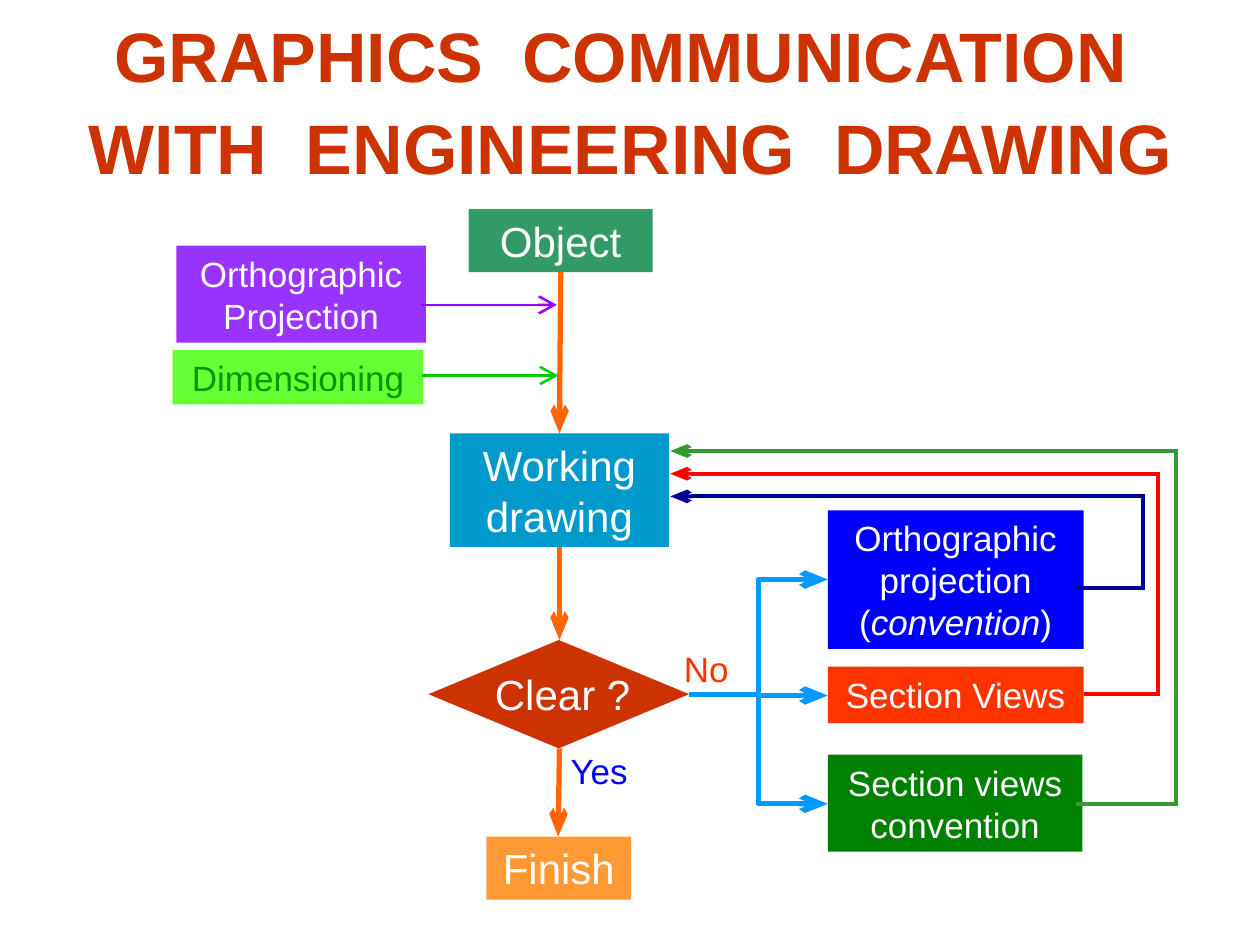
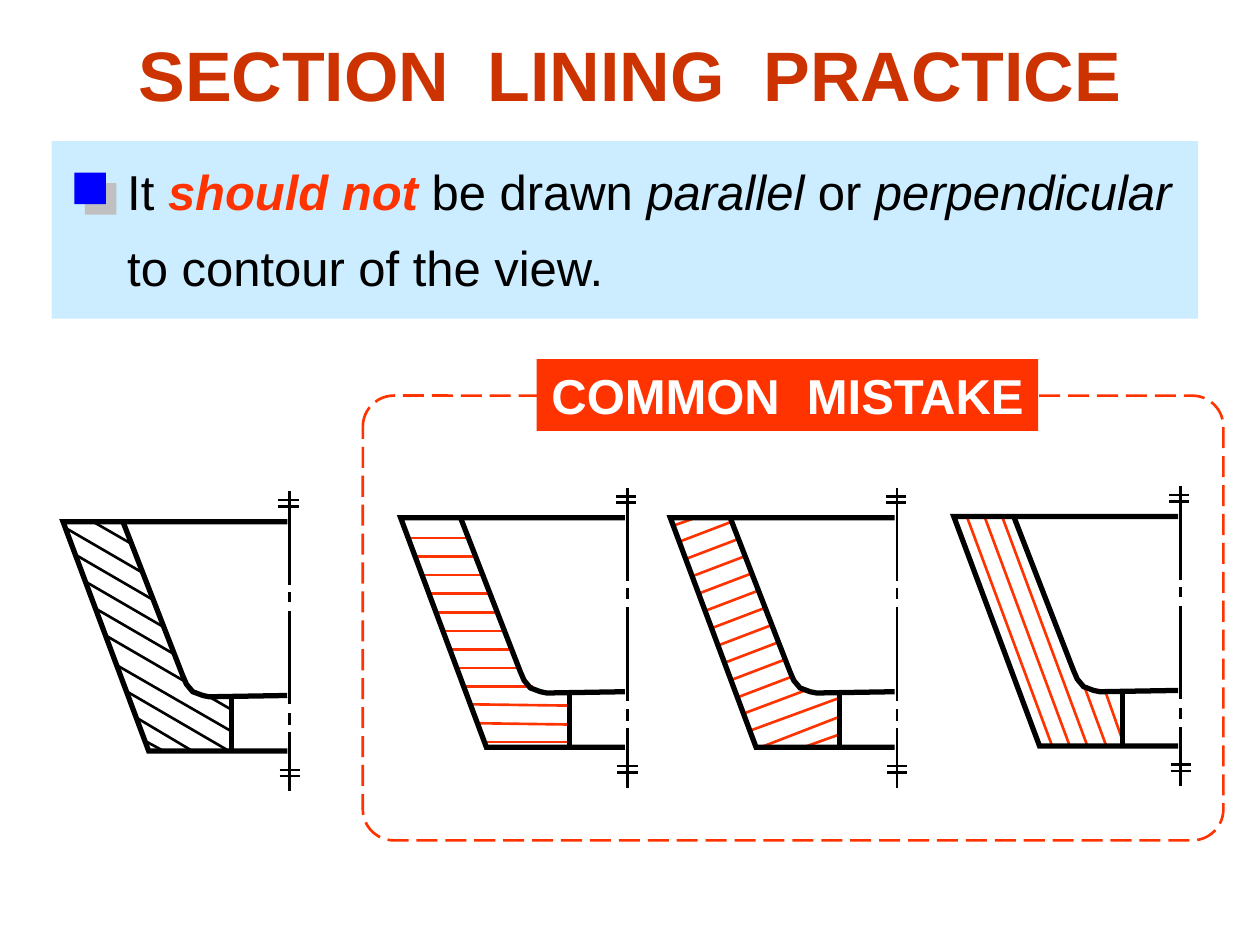
"""Builds two slides on engineering drawing: a communication flowchart and section lining practice."""
from lxml.etree import SubElement
from pptx import Presentation
from pptx.dml.color import RGBColor
from pptx.enum.dml import MSO_LINE
from pptx.enum.shapes import MSO_CONNECTOR, MSO_SHAPE
from pptx.enum.text import MSO_ANCHOR, MSO_AUTO_SIZE, PP_ALIGN
from pptx.oxml.ns import qn
from pptx.util import Emu, Pt

PX = 9144
FONT = "Arial"
COLORS = {
    "title": "CC3300", "white": "FFFFFF", "black": "000000", "red": "FF3300",
    "object": "339966", "working": "0099CC", "finish": "FF9933", "flow": "FF6600",
    "projection": "9933FF", "projection_arrow": "9900FF",
    "dimension": "66FF33", "dimension_text": "009900", "dimension_arrow": "00CC00",
    "blue": "0000FF", "branch": "0099FF", "section_convention": "008000",
    "projection_return": "000099", "section_return": "FF0000",
    "convention_return": "339933", "panel": "CCECFF", "shadow": "C0C0C0",
}
OUTER_WALL = [(178, 0), (0, 0), (68, 182), (178, 182)]
INNER_WALL = [(48, 1), (95, 122), (98, 129), (103, 135), (111, 138), (116, 139), (178, 138)]
AXIS_X = 180
AXIS_DASHES = [(-24, 50), (56, 64), (71, 145), (152, 161), (167, 214)]
SYMMETRY_MARKS = [(171, -17), (171, -12), (172, 197), (172, 202)]


def px(length):
    return Emu(round(length * PX))


def rgb(name):
    return RGBColor.from_string(COLORS[name])


def write(frame, paragraphs, size, color, align=PP_ALIGN.CENTER, spacing=None, bold=False):
    for index, runs in enumerate(paragraphs):
        paragraph = frame.add_paragraph() if index else frame.paragraphs[0]
        paragraph.alignment = align
        if spacing:
            paragraph.line_spacing = spacing
        for text, style in [(runs, {})] if isinstance(runs, str) else runs:
            for number, part in enumerate(text.split("\n")):
                if number:
                    paragraph.add_line_break()
                run = paragraph.add_run()
                run.text = part
                run.font.name = FONT
                run.font.size = Pt(size)
                run.font.bold = style.get("bold", bold)
                run.font.italic = style.get("italic", False)
                run.font.color.rgb = rgb(style.get("color", color))


def place(shape, area):
    shape.left, shape.top, shape.width, shape.height = map(px, area)


def add_title(slide, area, text, spacing=1.0):
    title = slide.shapes.title
    place(title, area)
    title.text_frame.auto_size = MSO_AUTO_SIZE.NONE
    title.text_frame.vertical_anchor = MSO_ANCHOR.MIDDLE
    write(title.text_frame, [text], 40, "title", spacing=spacing, bold=True)


def add_body(slide, area, runs):
    body = slide.placeholders[1]
    place(body, area)
    frame = body.text_frame
    frame.auto_size = MSO_AUTO_SIZE.NONE
    frame.vertical_anchor = MSO_ANCHOR.TOP
    properties = frame.paragraphs[0]._p.get_or_add_pPr()
    properties.set("marL", "0")
    properties.set("indent", "0")
    SubElement(properties, qn("a:buNone"))
    frame.paragraphs[0].space_before = Pt(0)
    write(frame, [runs], 28, "black", PP_ALIGN.LEFT, 1.3)


def add_block(slide, area, fill, paragraphs=(), size=20, color="white",
              kind=MSO_SHAPE.RECTANGLE, bold=False, wrap=True):
    block = slide.shapes.add_shape(kind, *map(px, area))
    block.shadow.inherit = False
    block.fill.solid()
    block.fill.fore_color.rgb = rgb(fill)
    block.line.fill.background()
    block.text_frame.word_wrap = wrap
    write(block.text_frame, paragraphs, size, color, bold=bold)
    return block


def add_label(slide, area, text, size, color, align=PP_ALIGN.LEFT):
    label = slide.shapes.add_textbox(*map(px, area))
    label.text_frame.word_wrap = False
    write(label.text_frame, [text], size, color, align)


def style_line(shape, color, width, head_width=None, miter=False):
    shape.line.color.rgb = rgb(color)
    shape.line.width = Pt(width)
    stroke = shape.line._get_or_add_ln()
    if miter:
        SubElement(stroke, qn("a:miter"), lim="800000")
    if head_width:
        SubElement(stroke, qn("a:tailEnd"), type="arrow", w=head_width, len="lg")


def add_line(slide, start, end, color, width, head_width=None, kind=MSO_CONNECTOR.STRAIGHT):
    line = slide.shapes.add_connector(kind, *map(px, (*start, *end)))
    style_line(line, color, width, head_width)
    SubElement(line._element.spPr, qn("a:effectLst"))


def add_polyline(slide, points, color, width, head_width=None):
    start, *rest = [(px(x), px(y)) for x, y in points]
    builder = slide.shapes.build_freeform(*start)
    builder.add_line_segments(rest, close=False)
    polyline = builder.convert_to_shape()
    polyline.shadow.inherit = False
    polyline.fill.background()
    style_line(polyline, color, width, head_width, miter=True)


def add_bullet_square(slide, area):
    square = add_block(slide, area, "blue")
    effects = square._element.spPr.find(qn("a:effectLst"))
    shadow = SubElement(effects, qn("a:outerShdw"), blurRad="0", dist=str(Pt(8.5)),
                        dir="2700000", algn="ctr", rotWithShape="0")
    SubElement(shadow, qn("a:srgbClr"), val=COLORS["shadow"])


def hatch_run(start, end, step, count):
    (x1, y1), (x2, y2), (dx, dy) = start, end, step
    return [((x1 + i * dx, y1 + i * dy), (x2 + i * dx, y2 + i * dy)) for i in range(count)]


def add_half_section(slide, origin, hatches, hatch_color):
    def shift(point):
        return origin[0] + point[0], origin[1] + point[1]

    def draw(start, end, color="black", width=1.5):
        add_line(slide, shift(start), shift(end), color, width)

    for start, end in hatches:
        draw(start, end, hatch_color)
    for wall in (OUTER_WALL, INNER_WALL):
        add_polyline(slide, [shift(point) for point in wall], "black", 3)
    draw((134, 139), (134, 181), width=3)
    for top, bottom in AXIS_DASHES:
        draw((AXIS_X, top), (AXIS_X, bottom))
    for left, height in SYMMETRY_MARKS:
        draw((left, height), (left + 16, height))


def build_flowchart(slide):
    add_title(slide, (38, 0, 925, 153),
              "GRAPHICS  COMMUNICATION \nWITH  ENGINEERING  DRAWING", 1.1)
    add_block(slide, (372, 166, 146, 50), "object", ["Object"], 24)
    add_block(slide, (357, 344, 174, 90), "working", ["Working\ndrawing"], 24)
    add_block(slide, (340, 508, 207, 86), "title", kind=MSO_SHAPE.DIAMOND)
    add_label(slide, (346, 526, 201, 50), "Clear ?", 24, "white", PP_ALIGN.CENTER)
    add_block(slide, (386, 664, 115, 50), "finish", ["Finish"], 24)
    add_label(slide, (443, 590, 68, 43), "Yes", 20, "blue")
    add_label(slide, (533, 509, 56, 43), "No", 20, "red")

    add_block(slide, (140, 195, 198, 77), "projection", ["Orthographic Projection"])
    add_block(slide, (137, 278, 199, 43), "dimension", ["Dimensioning"], color="dimension_text")
    add_line(slide, (334, 242), (442, 242), "projection_arrow", 1.5, "lg")
    add_line(slide, (335, 298), (443, 298), "dimension_arrow", 1.5, "lg")

    add_block(slide, (657, 405, 203, 110), "blue",
              ["Orthographic", "projection",
               [("(", {}), ("convention", {"italic": True}), (")", {})]])
    add_block(slide, (657, 529, 203, 45), "red", ["Section Views"])
    add_block(slide, (657, 599, 202, 77), "section_convention", ["Section views", "convention"])

    for start, end in [((445, 216), (444, 344)), ((444, 434), (444, 508)), ((444, 594), (443, 664))]:
        add_line(slide, start, end, "flow", 3, "med")
    for branch_y in (460, 552, 638):
        add_line(slide, (547, 551), (657, branch_y), "branch", 3, "med", MSO_CONNECTOR.ELBOW)
    for start, right, top, color in [
        ((854, 467), 907, 394, "projection_return"),
        ((860, 551), 919, 376, "section_return"),
        ((854, 638), 933, 358, "convention_return"),
    ]:
        route = [start, (right, start[1]), (right, top), (532, top)]
        add_polyline(slide, route, color, 2.25, "med")


def build_section_lining(slide):
    add_title(slide, (50, 1, 900, 114), "SECTION  LINING  PRACTICE")
    panel = add_block(slide, (41, 112, 910, 141), "panel")
    slide.shapes._spTree.insert(2, panel._element)
    add_bullet_square(slide, (59, 137, 25, 25))
    italic = {"italic": True}
    add_body(slide, (91, 109, 852, 132), [
        ("It ", {}), ("should not", {"color": "red", "bold": True, "italic": True}),
        (" be drawn ", {}), ("parallel ", italic), ("or ", {}),
        ("perpendicular", italic), (" to contour of the view.", {})])

    mistakes = slide.shapes.add_shape(MSO_SHAPE.ROUNDED_RECTANGLE, *map(px, (288, 314, 683, 353)))
    mistakes.adjustments[0] = 0.07
    mistakes.shadow.inherit = False
    mistakes.fill.background()
    style_line(mistakes, "red", 1.5)
    mistakes.line.dash_style = MSO_LINE.LONG_DASH
    add_block(slide, (426, 285, 398, 57), "red", ["COMMON  MISTAKE"], 28, bold=True, wrap=False)

    slanted = hatch_run((2, 5), (64, 41), (8.25, 21.5), 5) + [
        ((22, -1), (55, 18)), ((41, 113), (133, 166)), ((116, 139), (135, 150)),
        ((51, 135), (130, 181)), ((59, 156), (101, 181)), ((65, 174), (78, 181))]
    horizontal = hatch_run((6, 16), (55, 16), (5.6, 14.75), 8) + [
        ((50, 134), (105, 134)), ((55, 148), (134, 149)),
        ((60, 163), (133, 164)), ((67, 178), (133, 178))]
    perpendicular = hatch_run((7, 19), (49, 3), (5.2, 13.7), 10) + [
        ((3, 6), (20, 0)), ((59, 155), (107, 137)), ((63, 169), (134, 143)),
        ((72, 182), (134, 158)), ((106, 182), (134, 172))]
    parallel = hatch_run((10, -1), (78, 182), (14, 0), 3) + [
        ((104, 136), (121, 182)), ((120, 138), (133, 175))]

    for origin, hatches, color in [
        ((50, 414), slanted, "black"),
        ((318, 411), horizontal, "red"),
        ((532, 411), perpendicular, "red"),
        ((757, 410), parallel, "red"),
    ]:
        add_half_section(slide, origin, hatches, color)


def main():
    deck = Presentation()
    deck.slide_width, deck.slide_height = px(1000), px(750)
    build_flowchart(deck.slides.add_slide(deck.slide_layouts[5]))
    build_section_lining(deck.slides.add_slide(deck.slide_layouts[1]))
    deck.save("out.pptx")


if __name__ == "__main__":
    main()
